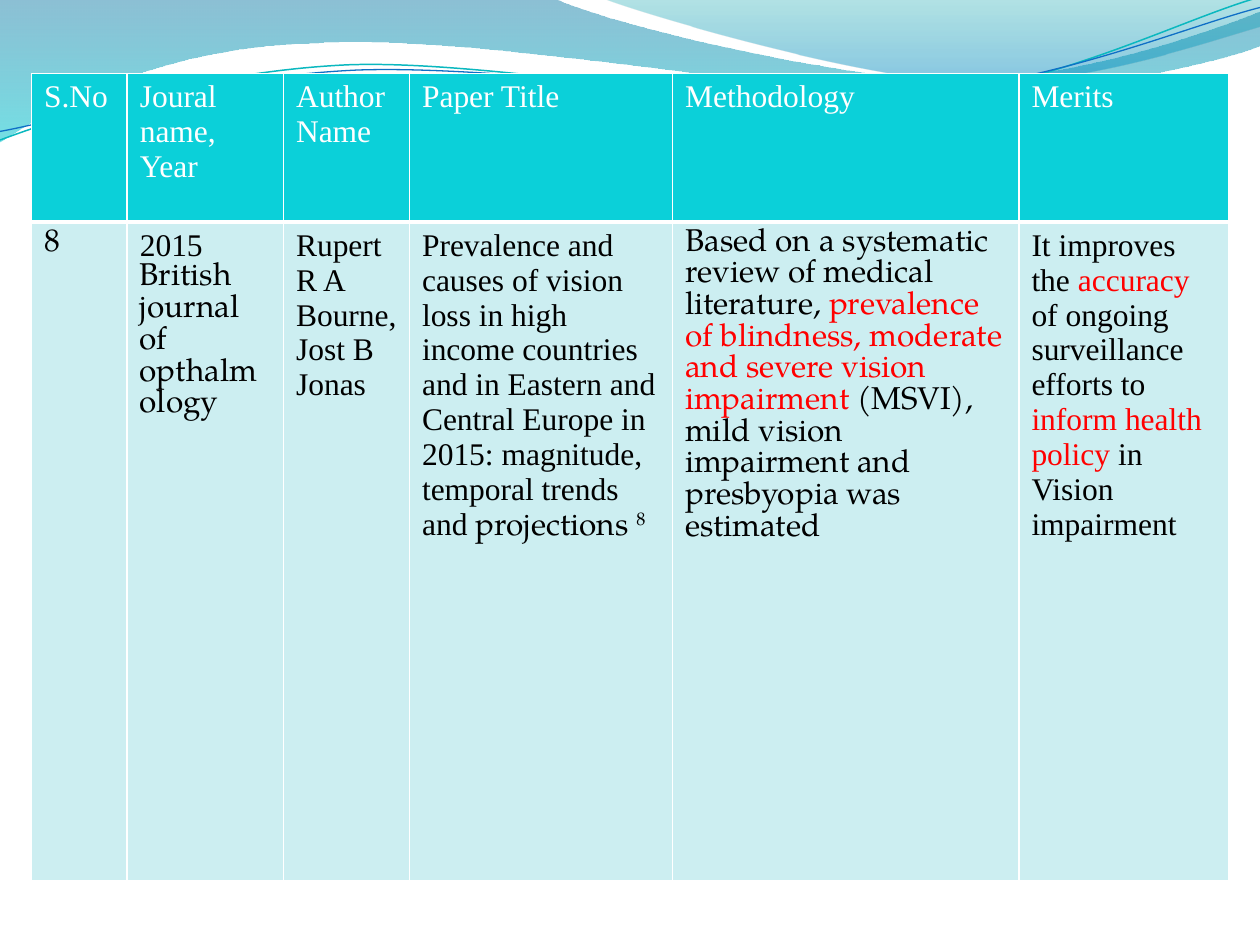
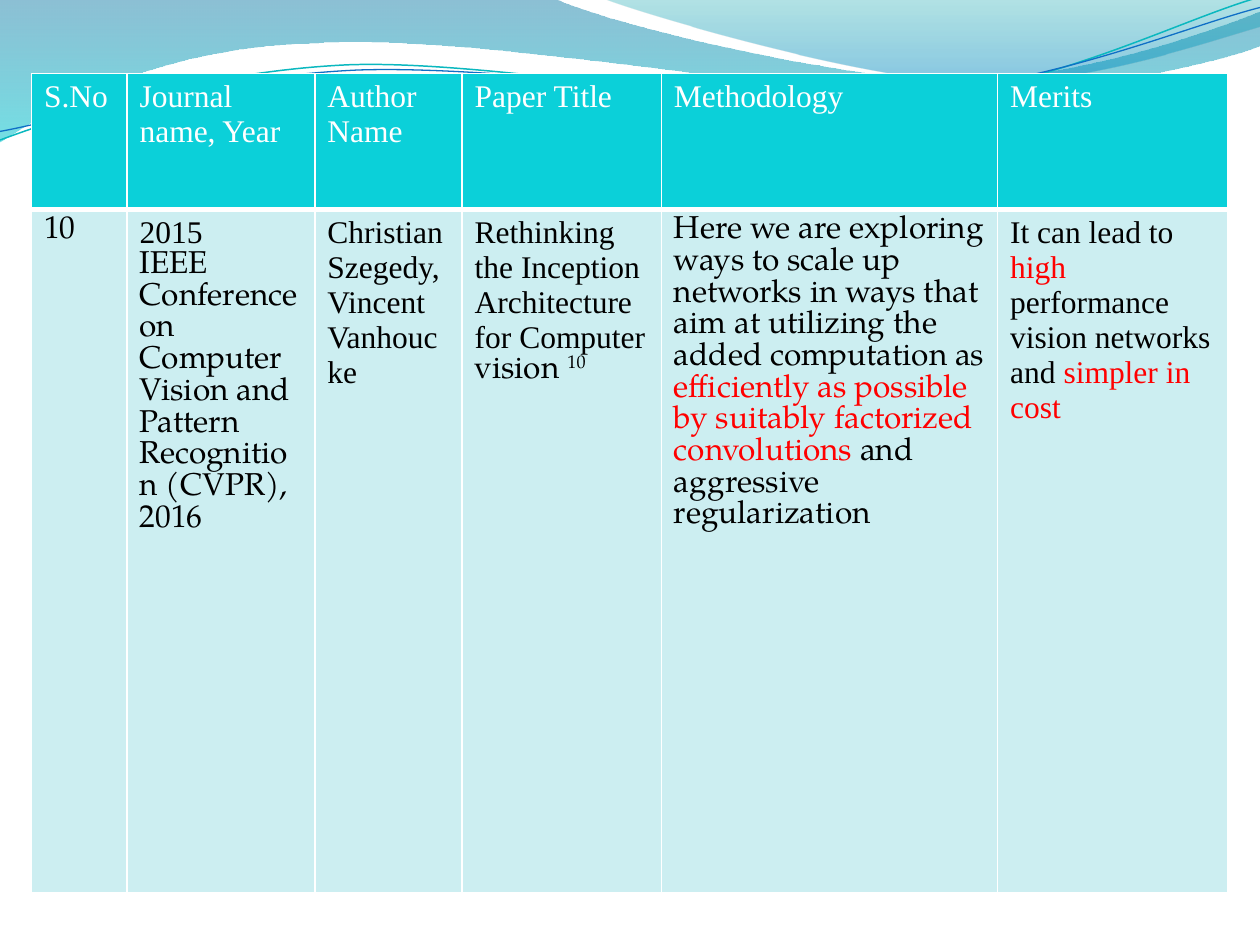
import pptx
import pptx.dml.color
import pptx.oxml.ns
import pptx.util
from dataclasses import dataclass
from lxml import etree

Pt = pptx.util.Pt
qn = pptx.oxml.ns.qn


@dataclass(frozen=True)
class Theme:
    header: str = "0BD0D9"
    body: str = "CCEEF1"
    white: str = "FFFFFF"
    ink: str = "000000"
    accent: str = "FF0000"
    times: str = "Times New Roman"
    pagella: str = "TeX Gyre Pagella"
    size: int = 18
    thin: int = 1
    thick: int = 3


T = Theme()
PAGELLA = {"font": T.pagella}
RED = {"color": T.accent}
RED_PAGELLA = {**PAGELLA, **RED}
NOTE = {**PAGELLA, "superscript": True}

# Wave outlines: a start point, then line ends (x, y) or cubic curves of six numbers
# Ribbons: start, steps, gradient stops (position, colour, opacity in percent)
RIBBONS = [
    ((0, 0),
     [(317, -0.7), (343, 12.2, 478, 45.4, 546, 45.4), (614, 45.4, 690, 18.7, 720, 6.5),
      (720.7, 26), (708, 31.7, 626, 54.7, 537, 54), (448, 54, 275, 20.2, 185, 24.5),
      (93, 26, 33, 59.8, -0.7, 81.4), (0, 0)],
     [(0, "0074A1", 45), (1, "00C6CF", 55)]),
    ((345, -0.7),
     [(366.5, 8, 491, 44.6, 553.7, 46.8), (616.3, 49.7, 692, 23, 720, 15.1), (720, 0),
      (345, -0.7)],
     [(0, "00A1A9", 30), (0.8, "008BBF", 45)]),
]
# Strands: start, steps, colour, line width
STRANDS = [
    ((-1.4, 63.1),
     [(34.2, 51.7, 114.3, 29.4, 199.4, 29.5), (284.4, 30.5, 425.8, 67.2, 512, 65.2),
      (599.3, 62.3, 676, 25.9, 720.6, 15.6)],
     "0AB8BF", 0.85),
    ((-1.1, 58.1),
     [(33.1, 53.7, 118.2, 32.6, 204.3, 32.7), (290.3, 33.7, 429.1, 63.3, 515.3, 61.4),
      (601.4, 59.4, 678.9, 30, 721.4, 21.3)],
     "0F6FC6", 0.75),
]
STRAND_TILT = 357.3


def rgb(code):
    return pptx.dml.color.RGBColor.from_string(code)


def add_outline(slide, start, steps, close):
    """Lay out every node as a line end, then bend the six-number steps."""
    nodes = [(Pt(step[i]), Pt(step[i + 1]))
             for step in steps for i in range(0, len(step), 2)]
    builder = slide.shapes.build_freeform(Pt(start[0]), Pt(start[1]))
    builder.add_line_segments(nodes, close=close)
    s = builder.convert_to_shape()
    s.shadow.inherit = False
    lines = iter(list(s._element.iter(qn("a:lnTo"))))
    for step in steps:
        ends = [next(lines) for _ in range(len(step) // 2)]
        if len(ends) == 3:
            curve = etree.Element(qn("a:cubicBezTo"))
            ends[0].addprevious(curve)
            for end in ends:
                curve.append(end[0])
                end.getparent().remove(end)
    return s


def add_ribbon(slide, start, steps, stops):
    s = add_outline(slide, start, steps, close=True)
    s.line.fill.background()
    s.fill.gradient()
    s.fill.gradient_angle = 270
    for stop, (position, color, opacity) in zip(s.fill.gradient_stops, stops):
        stop.position = position
        stop.color.rgb = rgb(color)
    colors = s._element.spPr.iter(qn("a:srgbClr"))
    for element, (position, color, opacity) in zip(list(colors), stops):
        etree.SubElement(element, qn("a:alpha"), val=str(opacity * 1000))


def add_strand(slide, start, steps, color, width):
    s = add_outline(slide, start, steps, close=False)
    s.rotation = STRAND_TILT
    s.fill.background()
    s.line.color.rgb = rgb(color)
    s.line.width = Pt(width)


def add_waves(slide):
    for ribbon in RIBBONS:
        add_ribbon(slide, *ribbon)
    for strand in STRANDS:
        add_strand(slide, *strand)


def add_text(p, text, font=T.times, color=T.ink, superscript=False):
    r = p.add_run()
    r.text = text
    r.font.name = font
    r.font.size = Pt(T.size)
    r.font.bold = False
    r.font.color.rgb = rgb(color)
    if superscript:
        r.font._element.set("baseline", "30000")


def set_borders(cell, top, bottom):
    tc_pr = cell._tc.get_or_add_tcPr()
    for side, width in (("L", T.thin), ("R", T.thin), ("T", top), ("B", bottom)):
        ln = etree.SubElement(tc_pr, qn("a:ln" + side), w=str(Pt(width)))
        fill = etree.SubElement(ln, qn("a:solidFill"))
        etree.SubElement(fill, qn("a:srgbClr"), val=T.white)


def fill_cell(cell, paragraphs, fill, top, bottom):
    """Each paragraph is a list of (text, format) runs."""
    set_borders(cell, top, bottom)
    cell.fill.solid()
    cell.fill.fore_color.rgb = rgb(fill)
    tf = cell.text_frame
    for i, runs in enumerate(paragraphs):
        p = tf.add_paragraph() if i else tf.paragraphs[0]
        for text, style in runs:
            add_text(p, text, **style)


def add_paper_table(slide, widths, heights, headings, entry):
    frame = slide.shapes.add_table(2, len(widths), Pt(18), Pt(42),
                                   Pt(sum(widths)), Pt(sum(heights)))
    table = frame.table
    table.first_row = table.horz_banding = False
    for column, width in zip(table.columns, widths):
        column.width = Pt(width)
    for row, height in zip(table.rows, heights):
        row.height = Pt(height)
    for i, (heading, paragraphs) in enumerate(zip(headings, entry)):
        fill_cell(table.cell(0, i), [[(heading, {"color": T.white})]],
                  T.header, T.thin, T.thick)
        fill_cell(table.cell(1, i), paragraphs, T.body, T.thick, T.thin)


def headings(journal):
    return ["S.No", journal, "Author Name", "Paper Title", "Methodology", "Merits"]


# Reviewed papers: one list of paragraphs per column
VISION_LOSS = [
    [[("8", PAGELLA)]],
    [[("2015", {})], [("British journal of opthalmology", PAGELLA)]],
    [[("Rupert R A Bourne,Jost B Jonas", {})]],
    [[("Prevalence and causes of vision loss in high income countries and in Eastern "
       "and Central Europe in 2015: magnitude, temporal trends and ", {}),
      ("projections ", PAGELLA), ("8", NOTE)]],
    [[("Based on a systematic review of medical literature, ", PAGELLA),
      ("prevalence of blindness, moderate and severe vision impairment ", RED_PAGELLA),
      ("(MSVI), mild vision impairment and presbyopia was estimated", PAGELLA)]],
    [[("It improves the ", {}), ("accuracy", RED),
      (" of ongoing surveillance efforts to ", {}),
      ("inform health policy ", RED), ("in Vision impairment", {})]],
]
INCEPTION = [
    [[("10", PAGELLA)]],
    [[("2015", {})],
     [("IEEE Conference on Computer Vision and Pattern Recognition (CVPR), 2016", PAGELLA)]],
    [[("Christian Szegedy, Vincent Vanhoucke", {})]],
    [[("Rethinking the Inception Architecture for Computer ", {}),
      ("vision ", PAGELLA), ("10", NOTE)]],
    [[("Here we are exploring ways to scale up networks in ways that aim at utilizing "
       "the added computation as ", PAGELLA),
      ("efficiently as possible by suitably factorized convolutions", RED_PAGELLA),
      (" and aggressive regularization", PAGELLA)]],
    [[("It can lead to ", {}), ("high ", RED),
      ("performance vision networks and ", {}), ("simpler in cost", RED)]],
]

# Per slide: column widths, row heights, headings, entry
PAPERS = [
    ([54.7, 89.3, 72, 150.4, 197.9, 120], [84.8, 376.4],
     headings("Joural name, Year"), VISION_LOSS),
    ([54.6, 107.3, 84.2, 113.8, 192.2, 131.8], [77.7, 390.2],
     headings("Journal name, Year"), INCEPTION),
]


def main():
    prs = pptx.Presentation()
    prs.slide_width, prs.slide_height = Pt(720), Pt(540)
    for paper in PAPERS:
        slide = prs.slides.add_slide(prs.slide_layouts[6])
        add_waves(slide)
        add_paper_table(slide, *paper)
    prs.save("out.pptx")


if __name__ == "__main__":
    main()
